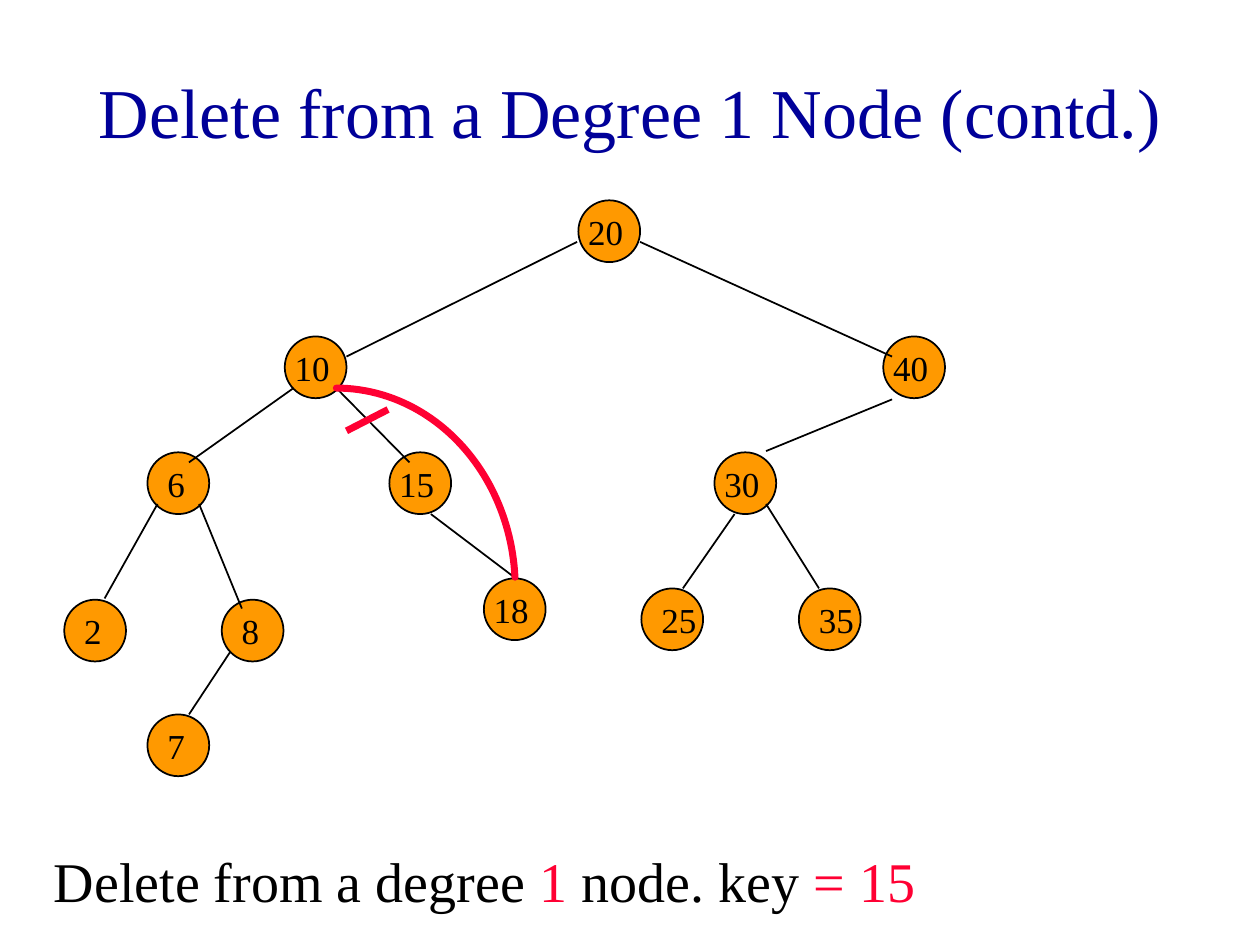
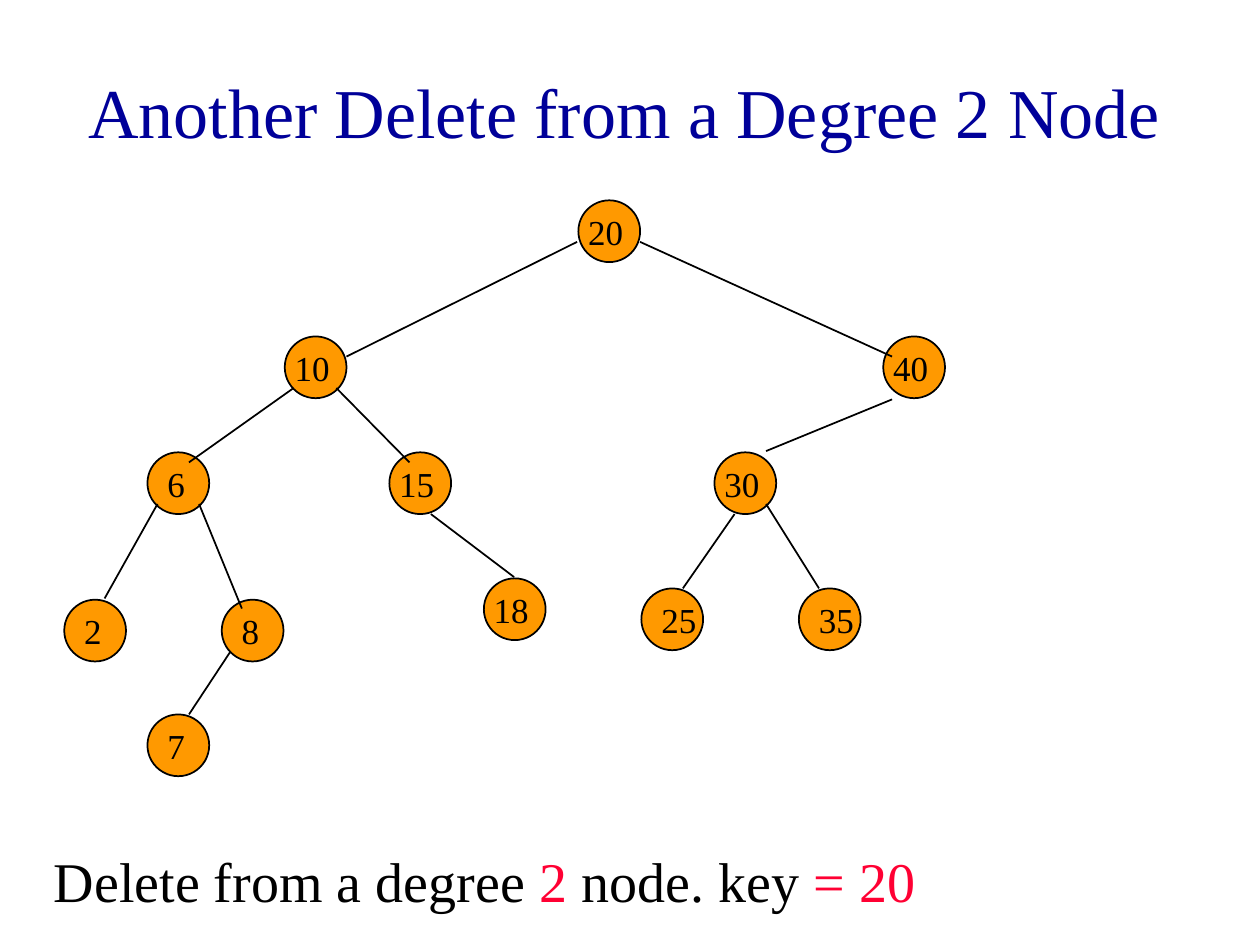
from pptx import Presentation
from pptx.dml.color import RGBColor
from pptx.enum.shapes import MSO_CONNECTOR, MSO_SHAPE
from pptx.enum.text import MSO_ANCHOR, PP_ALIGN
from pptx.oxml.ns import qn
from pptx.util import Inches, Pt
from lxml.etree import SubElement

NAVY = RGBColor(0x00, 0x00, 0x99)
BLACK = RGBColor(0x00, 0x00, 0x00)
RED = RGBColor(0xFF, 0x00, 0x33)
ORANGE = RGBColor(0xFF, 0x99, 0x00)
FONT = "Times New Roman"
NODE_SIZE = 0.49

NODES = [
    (20, 4.59, 1.59),
    (10, 2.26, 2.67),
    (40, 7.01, 2.67),
    (6, 1.17, 3.59),
    (15, 3.09, 3.59),
    (30, 5.67, 3.59),
    (2, 0.51, 4.76),
    (8, 1.76, 4.76),
    (18, 3.84, 4.59),
    (25, 5.09, 4.67),
    (35, 6.34, 4.67),
    (7, 1.17, 5.67),
]
SHIFTED_LABELS = (25, 35)

EDGES = [
    (4.58, 1.92, 2.75, 2.83),
    (5.08, 1.92, 7.08, 2.83),
    (2.33, 3.08, 1.5, 3.67),
    (2.67, 3.08, 3.25, 3.67),
    (7.08, 3.17, 6.08, 3.58),
    (1.25, 4, 0.83, 4.75),
    (1.58, 4, 1.92, 4.83),
    (3.42, 4.08, 4.08, 4.58),
    (5.83, 4.08, 5.42, 4.67),
    (6.08, 4, 6.5, 4.67),
    (1.83, 5.17, 1.5, 5.67),
]

SLIDES = [
    ("Delete from a Degree 1 Node (contd.)", 0.25, 9.5, 1, 15),
    ("Another Delete from a Degree 2 Node", 0.08, 9.75, 2, 20),
]


def add_text(slide, runs, left, top, width, height, size, wrap=True,
             align=PP_ALIGN.LEFT, anchor=MSO_ANCHOR.TOP):
    box = slide.shapes.add_textbox(Inches(left), Inches(top), Inches(width), Inches(height))
    frame = box.text_frame
    frame.word_wrap = wrap
    frame.vertical_anchor = anchor
    paragraph = frame.paragraphs[0]
    paragraph.alignment = align
    for text, color in runs:
        run = paragraph.add_run()
        run.text = text
        run.font.name = FONT
        run.font.size = Pt(size)
        run.font.color.rgb = color


def add_line(slide, start_x, start_y, end_x, end_y, color=BLACK, width=1):
    line = slide.shapes.add_connector(
        MSO_CONNECTOR.STRAIGHT,
        Inches(start_x), Inches(start_y), Inches(end_x), Inches(end_y))
    line.line.color.rgb = color
    line.line.width = Pt(width)
    SubElement(line._element.spPr, qn("a:effectLst"))


presentation = Presentation()
presentation.slide_width = Inches(10)
presentation.slide_height = Inches(7.5)

for title, title_left, title_width, degree, key in SLIDES:
    slide = presentation.slides.add_slide(presentation.slide_layouts[6])
    add_text(slide, [(title, NAVY)], title_left, 0.25, title_width, 1.25, size=40,
             align=PP_ALIGN.CENTER, anchor=MSO_ANCHOR.MIDDLE)
    caption = [("Delete from a degree ", BLACK), (f"{degree} ", RED),
               ("node. key ", BLACK), (f"= {key}", RED)]
    add_text(slide, caption, 0.33, 6.67, 9, 0.63, size=32)

    for value, left, top in NODES:
        node = slide.shapes.add_shape(
            MSO_SHAPE.OVAL, Inches(left), Inches(top), Inches(NODE_SIZE), Inches(NODE_SIZE))
        node.shadow.inherit = False
        node.fill.solid()
        node.fill.fore_color.rgb = ORANGE
        node.line.color.rgb = BLACK
        node.line.width = Pt(1)

    for edge in EDGES:
        add_line(slide, *edge)

    for value, left, top in NODES:
        label_width = 0.34 if value < 10 else 0.48
        label_shift = 0.06 if value < 10 or value in SHIFTED_LABELS else -0.02
        add_text(slide, [(str(value), BLACK)], left + label_shift, top + 0.03,
                 label_width, 0.43, size=20, wrap=False)

    if degree == 1:
        new_link = slide.shapes.add_shape(
            MSO_SHAPE.ARC, Inches(1.25), Inches(3.08), Inches(2.84), Inches(3.18))
        new_link.adjustments[1] = 213.84
        new_link.shadow.inherit = False
        new_link.fill.background()
        new_link.line.color.rgb = RED
        new_link.line.width = Pt(4)
        new_link._element.spPr.find(qn("a:ln")).set("cap", "rnd")
        add_line(slide, 3.08, 3.25, 2.75, 3.42, color=RED, width=4)

presentation.save("out.pptx")
